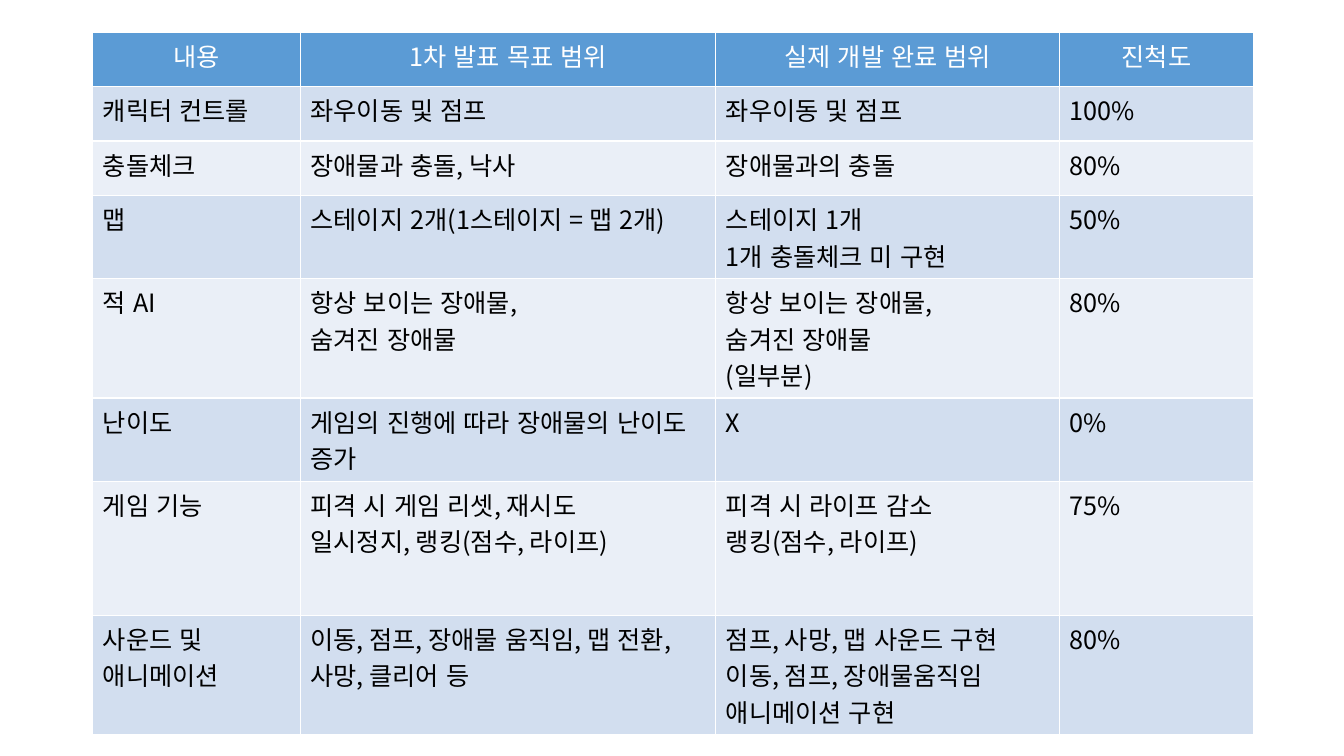
from dataclasses import dataclass

from lxml import etree
from pptx import Presentation
from pptx.dml.color import RGBColor
from pptx.enum import lang, text
from pptx.oxml import ns
from pptx.util import Inches, Pt


@dataclass(frozen=True)
class Theme:
    font: str = "Noto Sans CJK KR"
    size: int = 18
    header_fill: str = "5B9BD5"
    header_text: str = "FFFFFF"
    body_text: str = "000000"
    bands: tuple = ("EAEFF7", "D2DEEF")


theme = Theme()

# Progress report: header, then one row per feature
rows = [
    ("내용", "1차 발표 목표 범위", "실제 개발 완료 범위", "진척도"),
    ("캐릭터 컨트롤", "좌우이동 및 점프", "좌우이동 및 점프", "100%"),
    ("충돌체크", "장애물과 충돌, 낙사", "장애물과의 충돌", "80%"),
    ("맵", "스테이지 2개(1스테이지 = 맵 2개)",
     "스테이지 1개\n1개 충돌체크 미 구현", "50%"),
    ("적 AI", "항상 보이는 장애물,\n숨겨진 장애물",
     "항상 보이는 장애물,\n숨겨진 장애물\n(일부분)", "80%"),
    ("난이도", "게임의 진행에 따라 장애물의 난이도 증가", "X", "0%"),
    ("게임 기능", "피격 시 게임 리셋, 재시도\n일시정지, 랭킹(점수, 라이프)",
     "피격 시 라이프 감소\n랭킹(점수, 라이프)", "75%"),
    ("사운드 및\n애니메이션", "이동, 점프, 장애물 움직임, 맵 전환, 사망, 클리어 등",
     "점프, 사망, 맵 사운드 구현\n이동, 점프, 장애물움직임 애니메이션 구현", "80%"),
]
col_widths = [2.06, 4.12, 3.41, 1.92]
row_heights = [0.54, 0.54, 0.54, 0.69, 0.87, 0.54, 1.33, 1.08]

# Slide
prs = Presentation()
prs.slide_width, prs.slide_height = Inches(13.33), Inches(7.5)
s = prs.slides.add_slide(prs.slide_layouts[6])

# Table grid
table = s.shapes.add_table(
    len(rows), len(col_widths), Inches(0.92), Inches(0.32),
    Inches(sum(col_widths)), Inches(sum(row_heights))).table
for column, width in zip(table.columns, col_widths):
    column.width = Inches(width)
for row, height in zip(table.rows, row_heights):
    row.height = Inches(height)

# Cell text and banding
for i, values in enumerate(rows):
    header = i == 0
    fill = theme.header_fill if header else theme.bands[i % 2]
    color = theme.header_text if header else theme.body_text
    for cell, value in zip(table.rows[i].cells, values):
        cell.fill.solid()
        cell.fill.fore_color.rgb = RGBColor.from_string(fill)
        cell.text = value
        for p in cell.text_frame.paragraphs:
            p.alignment = text.PP_ALIGN.CENTER if header else text.PP_ALIGN.LEFT
            p.font.size = Pt(theme.size)
            p.font.color.rgb = RGBColor.from_string(color)
            p.font.name = theme.font
            # Korean letters take the East Asian font
            etree.SubElement(p.font._element, ns.qn("a:ea"), typeface=theme.font)
            # Commas stay inside the cell at a line end
            p._p.get_or_add_pPr().set("hangingPunct", "0")
            for r in p.runs:
                r.font.bold = False
                r.font.language_id = lang.MSO_LANGUAGE_ID.KOREAN

# The longest target text wraps clear of the next column
for row in list(table.rows)[1:]:
    row.cells[1].margin_right = Inches(0.2)

prs.save("out.pptx")
